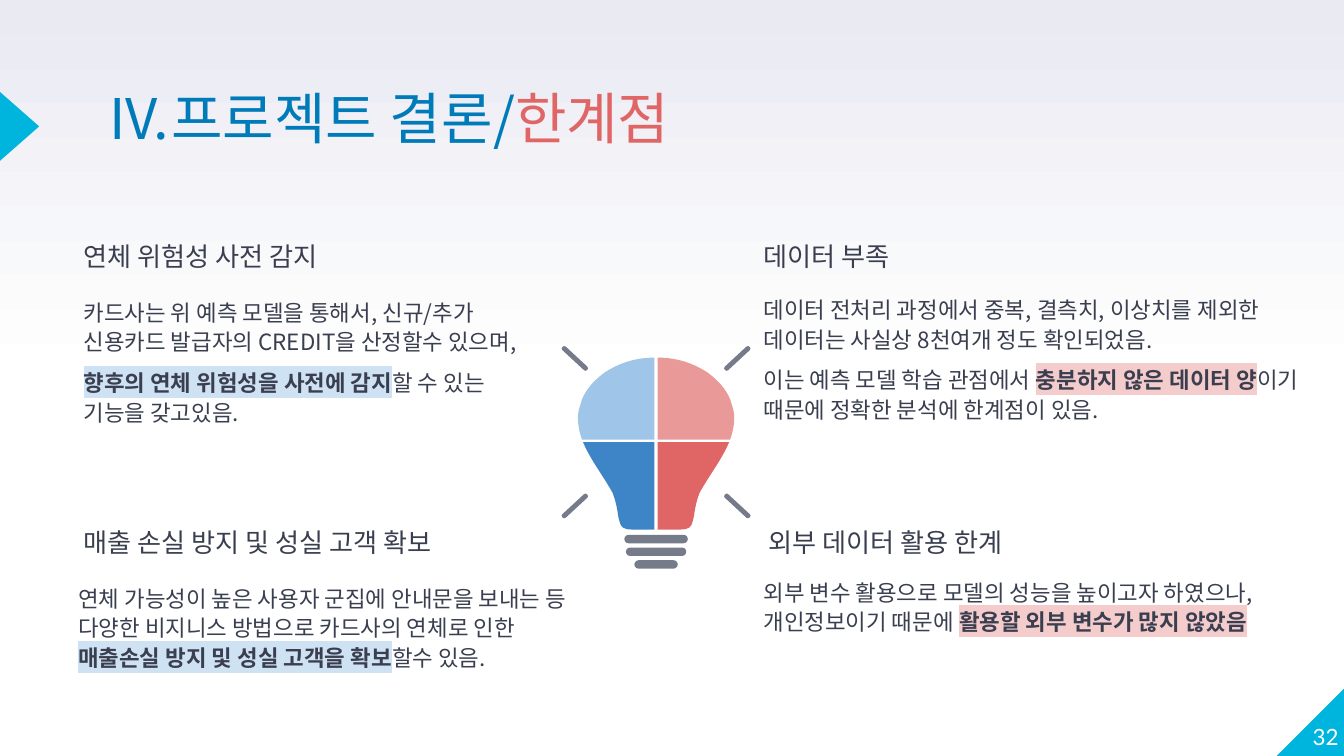
from lxml.etree import SubElement
from pptx import Presentation
from pptx.dml.color import RGBColor
from pptx.enum.shapes import MSO_SHAPE
from pptx.enum.text import MSO_ANCHOR, MSO_AUTO_SIZE, PP_ALIGN
from pptx.oxml.ns import qn
from pptx.util import Cm, Pt

KR = "Noto Sans CJK KR"
INK, CYAN, BLUE, RED, GREY = "3A3F50", "00B5DD", "007BB9", "E06666", "757B89"
SKY, ROSE = "CFE2F3", "F4CCCC"
PAD = 0.25

# Each text: box in cm (left, top, width, height), then paragraphs of
# (words, highlight) runs; highlighted words are bold.
HEADS = [
    ((1.33, 4.24, 5.49, 1.12), "연체 위험성 사전 감지"),
    ((14.18, 4.24, 3.2, 1.12), "데이터 부족"),
    ((1.33, 9.64, 7.42, 1.12), "매출 손실 방지 및 성실 고객 확보"),
    ((14.27, 9.64, 5.49, 1.12), "외부 데이터 활용 한계"),
]
BODIES = [
    ((1.33, 5.35, 9.3, 2.92), [
        [("카드사는 위 예측 모델을 통해서, 신규/추가 신용카드 발급자의 CREDIT을 산정할수 있으며,", None)],
        [("향후의 연체 위험성을 사전에 감지", SKY), ("할 수 있는 기능을 갖고있음.", None)],
    ]),
    ((14.18, 5.3, 11, 2.92), [
        [("데이터 전처리 과정에서 중복, 결측치, 이상치를 제외한 데이터는 사실상 8천여개 정도 확인되었음.", None)],
        [("이는 예측 모델 학습 관점에서 ", None), ("충분하지 않은 데이터 양", ROSE),
         ("이기 때문에 정확한 분석에 한계점이 있음.", None)],
    ]),
    ((1.23, 10.76, 10.13, 2.16), [
        [("연체 가능성이 높은 사용자 군집에 안내문을 보내는 등 다양한 비지니스 방법으로 카드사의 연체로 인한 ", None),
         ("매출손실 방지 및 성실 고객을 확보", SKY), ("할수 있음.", None)],
    ]),
    ((14.18, 10.64, 10.34, 1.6), [
        [("외부 변수 활용으로 모델의 성능을 높이고자 하였으나, 개인정보이기 때문에 ", None),
         ("활용할 외부 변수가 많지 않았음", ROSE)],
    ]),
]

# Right half of the bulb: x from the axis, y on the slide, in cm.
# Two numbers are a straight step, six are a Bezier step.
AXIS, MID = 12.4, 8.17
GLASS = [(1.43, 7.65), (1.38, 7.42, 1.2, 7.21, 0.97, 7.04),
         (0.77, 6.91, 0.46, 6.76, 0.03, 6.76), (0.03, 8.31), (1.4, 8.31),
         (1.48, 8.08, 1.51, 7.85, 1.43, 7.65)]
NECK = [(0.03, 8.36), (1.38, 8.36), (1.23, 8.71, 1, 8.99, 0.82, 9.32),
        (0.77, 9.45, 0.74, 9.58, 0.72, 9.73), (0.72, 9.78, 0.7, 9.8, 0.69, 9.86),
        (0.67, 9.96, 0.62, 10.01, 0.46, 10.01), (0.03, 10.01)]
RAY = [(1.33, 7.01), (1.3, 7.01, 1.3, 7.01, 1.3, 6.99),
       (1.28, 6.97, 1.28, 6.95, 1.3, 6.93), (1.71, 6.55),
       (1.73, 6.54, 1.76, 6.54, 1.77, 6.56), (1.79, 6.58, 1.79, 6.6, 1.77, 6.62),
       (1.36, 7), (1.35, 7.01, 1.34, 7.01, 1.33, 7.01)]
# outline, side (1 right, -1 left), flipped top to bottom, fill
PARTS = [(GLASS, 1, False, "EA9999"), (GLASS, -1, False, "9FC5E8"),
         (NECK, 1, False, RED), (NECK, -1, False, "3D85C6")]
PARTS += [(RAY, side, flip, GREY) for side in (1, -1) for flip in (False, True)]
BARS = [1.2, 1.14, 0.82]


def tint(code):
    return RGBColor.from_string(code)


def paint(shape, code):
    shape.fill.solid()
    shape.fill.fore_color.rgb = tint(code)
    shape.line.fill.background()
    shape.shadow.inherit = False


def frame(slide, box, pad=0):
    """Add a wrapping text box and return its text frame."""
    text = slide.shapes.add_textbox(*map(Cm, box)).text_frame
    text.word_wrap = True
    text.margin_left = text.margin_right = Cm(pad)
    text.margin_top = text.margin_bottom = Cm(pad)
    return text


def write(para, words, size, code, face=KR, mark=None):
    run = para.add_run()
    run.text = words
    font = run.font
    font.size, font.bold = Pt(size), bool(mark)
    font.color.rgb = tint(code)
    props = run._r.get_or_add_rPr()
    if mark:
        SubElement(SubElement(props, qn("a:highlight")), qn("a:srgbClr"), val=mark)
    font.name = face
    SubElement(props, qn("a:ea"), typeface=face)


def block(slide, box, paras, size):
    text = frame(slide, box, PAD)
    text.auto_size = MSO_AUTO_SIZE.SHAPE_TO_FIT_TEXT
    for i, runs in enumerate(paras):
        para = text.add_paragraph() if i else text.paragraphs[0]
        para.line_spacing = 1.1
        para.space_before = Pt(6 if i else 0)
        for words, mark in runs:
            write(para, words, size, INK, mark=mark)


def outline(shapes, steps, side, flip):
    """Build a freeform through all knots, then bend the Bezier steps."""
    dots = [(Cm(AXIS + side * x), Cm(2 * MID - y if flip else y))
            for step in steps for x, y in zip(step[::2], step[1::2])]
    pen = shapes.build_freeform(*dots[0], scale=1.0)
    pen.add_line_segments(dots[1:], close=True)
    shape = pen.convert_to_shape()
    lines = iter(list(shape._element.iter(qn("a:lnTo"))))
    for step in steps[1:]:
        line = next(lines)
        if len(step) == 6:
            line.addprevious(curve := line.makeelement(qn("a:cubicBezTo")))
            for part in (line, next(lines), next(lines)):
                curve.append(part[0])
                part.getparent().remove(part)
    return shape


def bulb(slide):
    shapes = slide.shapes.add_group_shape().shapes
    for steps, side, flip, code in PARTS:
        paint(outline(shapes, steps, side, flip), code)
    for i, wide in enumerate(BARS):
        bar = shapes.add_shape(MSO_SHAPE.ROUNDED_RECTANGLE, Cm(AXIS - wide / 2),
                               Cm(10.11 + 0.24 * i), Cm(wide), Cm(0.16))
        bar.adjustments[0] = 0.5
        paint(bar, GREY)


def title(slide):
    para = frame(slide, (1.97, 1.83, 12.67, 1.07)).paragraphs[0]
    para.line_spacing = 0.8
    props = para._p.get_or_add_pPr()
    props.set("marL", str(Cm(1.27)))
    props.set("indent", str(Cm(-1.17)))
    SubElement(SubElement(props, qn("a:buClr")), qn("a:srgbClr"), val=BLUE)
    SubElement(props, qn("a:buFont"), typeface=KR)
    SubElement(props, qn("a:buAutoNum"), type="romanUcPeriod", startAt="4")
    write(para, "프로젝트 결론/", 30, BLUE)
    write(para, "한계점", 30, RED)


def backdrop(slide):
    fill = slide.background.fill
    fill.gradient()
    fill.gradient_angle = 90
    for stop, spot, code in zip(fill.gradient_stops, (0.5, 1), ("FFFFFF", "E9EAF2")):
        stop.position = spot
        stop.color.rgb = tint(code)
    corner = slide.shapes.add_shape(MSO_SHAPE.RIGHT_TRIANGLE, Cm(24.13), Cm(12.99), Cm(1.3), Cm(1.3))
    corner._element.spPr.find(qn("a:xfrm")).set("flipH", "1")
    paint(corner, CYAN)
    arrow = slide.shapes.add_shape(MSO_SHAPE.ISOSCELES_TRIANGLE, Cm(-0.28), Cm(2.02), Cm(1.3), Cm(0.74))
    arrow.rotation = 90
    paint(arrow, CYAN)


def number(slide):
    text = frame(slide, (24.03, 12.88, 1.27, 1.3))
    text.vertical_anchor = MSO_ANCHOR.BOTTOM
    para = text.paragraphs[0]
    para.alignment = PP_ALIGN.RIGHT
    write(para, "32", 12, "FFFFFF", "Lato")


def main():
    deck = Presentation()
    deck.slide_width, deck.slide_height = Cm(25.4), Cm(14.29)
    slide = deck.slides.add_slide(deck.slide_layouts[6])
    backdrop(slide)
    title(slide)
    number(slide)
    bulb(slide)
    for box, words in HEADS:
        block(slide, box, [[(words, None)]], 14)
    for box, paras in BODIES:
        block(slide, box, paras, 12)
    deck.save("out.pptx")


if __name__ == "__main__":
    main()
